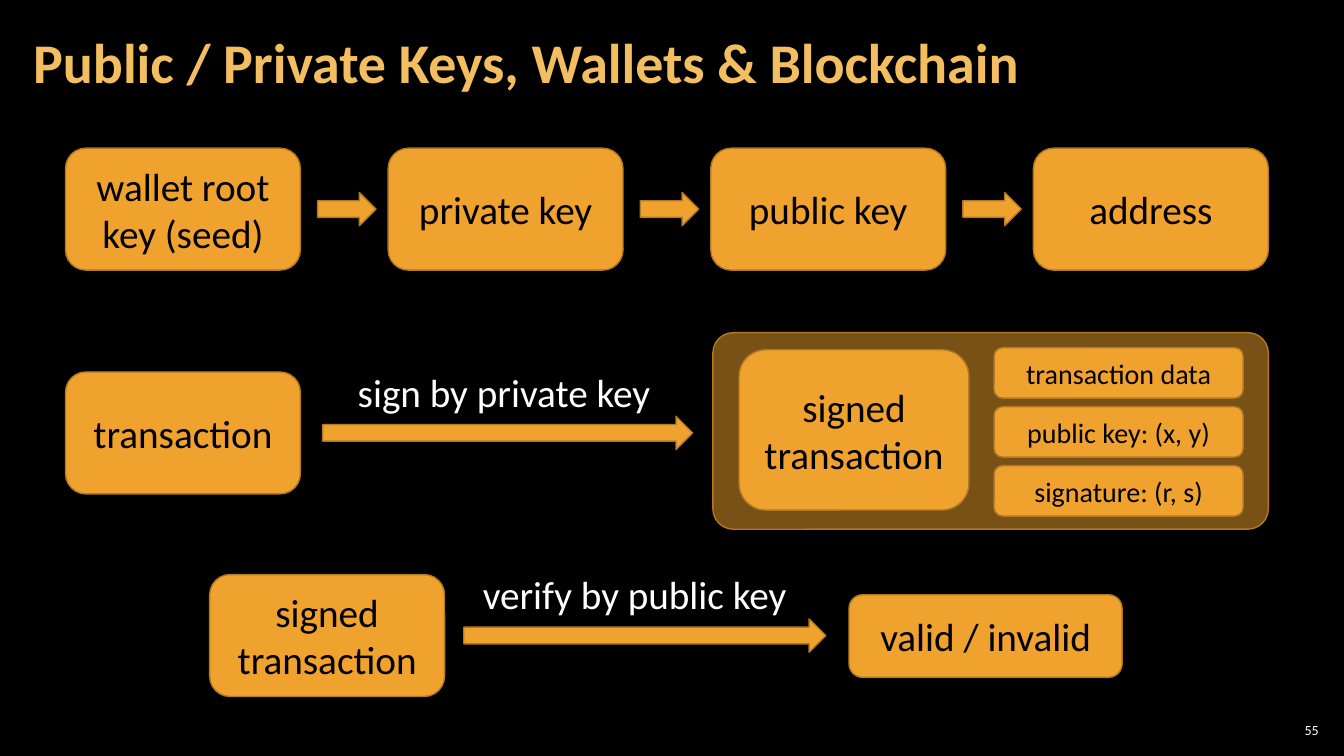
"""Build a slide on how keys, wallets and signed transactions relate."""
from dataclasses import dataclass

from lxml.etree import SubElement
from pptx import Presentation
from pptx.dml.color import RGBColor
from pptx.enum.shapes import MSO_SHAPE
from pptx.enum.text import MSO_ANCHOR, PP_ALIGN
from pptx.oxml.ns import qn
from pptx.util import Inches, Pt


@dataclass(frozen=True)
class Theme:
    font: str = "Calibri"
    background: str = "000000"
    title: str = "F3BE60"
    fill: str = "F0A22E"
    line: str = "B27822"
    dark: str = "000000"
    light: str = "FFFFFF"
    title_size: int = 40
    body_size: int = 28
    detail_size: int = 20
    number_size: int = 10


THEME = Theme()

TITLE = "Public / Private Keys, Wallets & Blockchain"
PAGE_NUMBER = "55"
KEY_CHAIN = ["wallet root key (seed)", "private key", "public key", "address"]
SIGNED_PARTS = ["transaction data", "public key: (x, y)", "signature: (r, s)"]
SIGNED = "signed transaction"

LEFT, COLUMN = 0.65, 3.2
BOX_WIDTH, BOX_HEIGHT = 2.33, 1.21
ARROW_HEIGHT = 0.33
CHAIN_TOP, SIGN_TOP, VERIFY_TOP = 1.47, 3.69, 5.7
PANEL = (7.07, 3.3, 5.51, 1.95)
PART_LEFT, PART_TOP, PART_WIDTH, PART_HEIGHT, PART_STEP = 9.86, 3.45, 2.47, 0.5, 0.585

ACTIONS = [
    ("sign by private key", (3.45, 3.61, 3.13, 0.57), (3.2, 4.13, 3.67)),
    ("verify by public key", (4.69, 5.62, 3.25, 0.57), (4.6, 6.14, 3.59)),
]


def write(shape, text, size, color, align=PP_ALIGN.LEFT, bold=False):
    para = shape.text_frame.paragraphs[0]
    para.text = text
    para.alignment = align
    para.font.name = THEME.font
    para.font.size = Pt(size)
    para.font.bold = bold
    para.font.color.rgb = RGBColor.from_string(color)
    return para


def add_label(page, place, text, size, color, wrap=True, margin=0.1,
              anchor=MSO_ANCHOR.MIDDLE, **style):
    label = page.shapes.add_textbox(*map(Inches, place))
    frame = label.text_frame
    frame.word_wrap = wrap
    frame.vertical_anchor = anchor
    frame.margin_left = frame.margin_right = Inches(margin)
    frame.margin_top = frame.margin_bottom = Inches(0.04)
    return write(label, text, size, color, **style)


def add_block(page, kind, place):
    block = page.shapes.add_shape(kind, *map(Inches, place))
    block.shadow.inherit = False
    block.fill.solid()
    block.fill.fore_color.rgb = RGBColor.from_string(THEME.fill)
    block.line.color.rgb = RGBColor.from_string(THEME.line)
    block.line.width = Pt(1)
    return block


def add_box(page, place, text, size=THEME.body_size):
    box = add_block(page, MSO_SHAPE.ROUNDED_RECTANGLE, place)
    box.text_frame.word_wrap = True
    box.text_frame.vertical_anchor = MSO_ANCHOR.MIDDLE
    write(box, text, size, THEME.dark, PP_ALIGN.CENTER)


def add_arrow(page, left, top, width):
    add_block(page, MSO_SHAPE.RIGHT_ARROW, (left, top, width, ARROW_HEIGHT))


def add_key_chain(page):
    for index, name in enumerate(KEY_CHAIN):
        left = LEFT + index * COLUMN
        add_box(page, (left, CHAIN_TOP, BOX_WIDTH, BOX_HEIGHT), name)
        if index < len(KEY_CHAIN) - 1:
            add_arrow(page, left + 2.5, CHAIN_TOP + 0.44, 0.58)


def add_signed_panel(page):
    panel = add_block(page, MSO_SHAPE.ROUNDED_RECTANGLE, PANEL)
    panel.adjustments[0] = 0.104
    color = panel.fill._xPr.find(qn("a:solidFill"))[0]
    SubElement(color, qn("a:alpha"), val="50000")
    add_box(page, (7.33, 3.47, 2.28, 1.59), SIGNED)
    for index, part in enumerate(SIGNED_PARTS):
        top = PART_TOP + index * PART_STEP
        add_box(page, (PART_LEFT, top, PART_WIDTH, PART_HEIGHT), part, THEME.detail_size)


def main():
    deck = Presentation()
    deck.slide_width, deck.slide_height = Inches(13.33), Inches(7.5)
    page = deck.slides.add_slide(deck.slide_layouts[6])
    page.background.fill.solid()
    page.background.fill.fore_color.rgb = RGBColor.from_string(THEME.background)

    title = add_label(page, (0.21, 0.04, 10.47, 1.21), TITLE, THEME.title_size,
                      THEME.title, margin=0.12, bold=True)
    title.line_spacing = 0.9
    add_label(page, (12.65, 7.14, 0.47, 0.21), PAGE_NUMBER, THEME.number_size,
              THEME.light, margin=0.04, align=PP_ALIGN.RIGHT)

    add_key_chain(page)
    add_box(page, (LEFT, SIGN_TOP, BOX_WIDTH, BOX_HEIGHT), "transaction")
    add_signed_panel(page)
    add_box(page, (2.08, VERIFY_TOP, BOX_WIDTH, BOX_HEIGHT), SIGNED)
    add_box(page, (8.42, 5.9, 2.71, 0.82), "valid / invalid")
    for text, label_place, arrow_place in ACTIONS:
        add_arrow(page, *arrow_place)
        add_label(page, label_place, text, THEME.body_size, THEME.light,
                  wrap=False, anchor=MSO_ANCHOR.TOP)

    deck.save("out.pptx")


if __name__ == "__main__":
    main()
